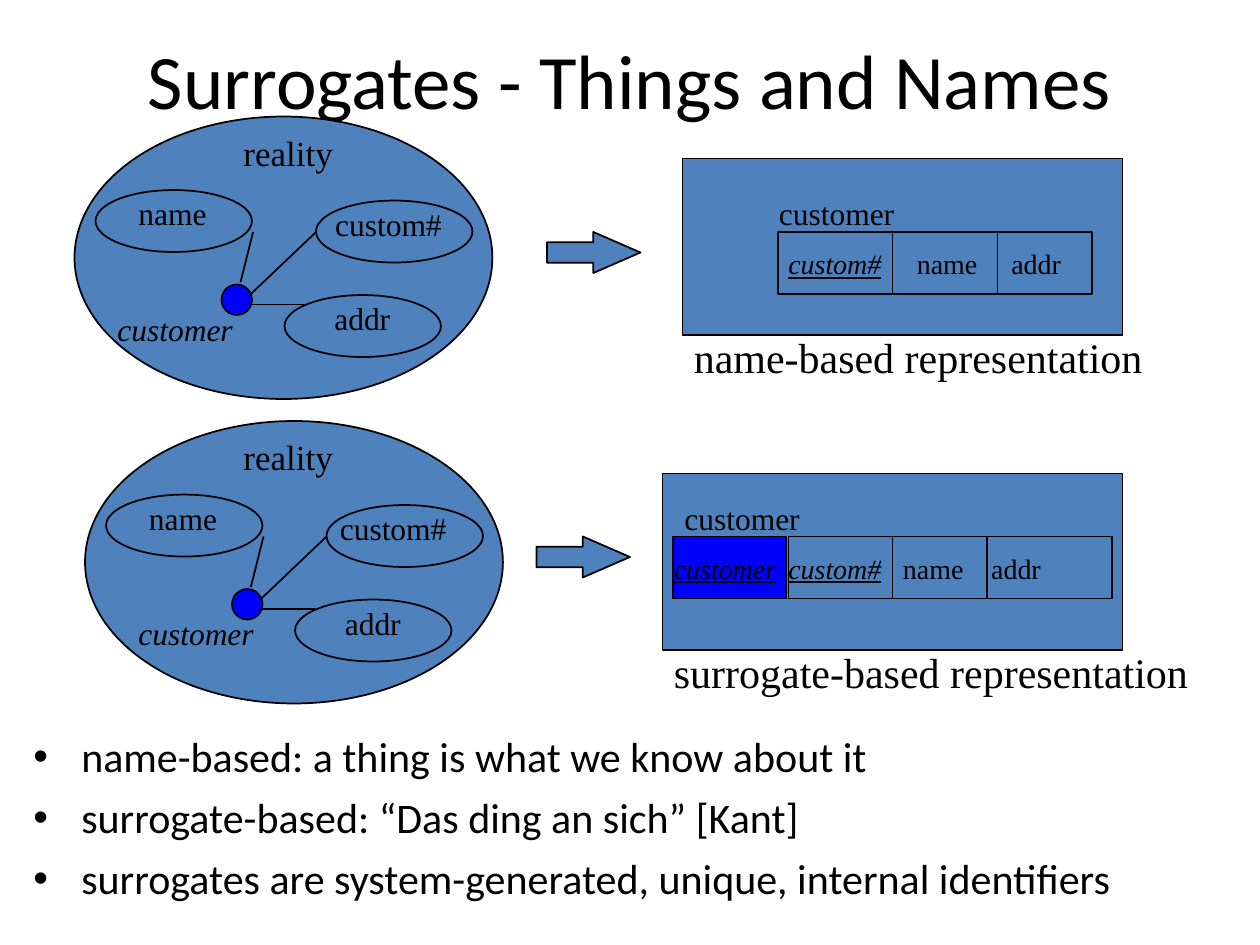
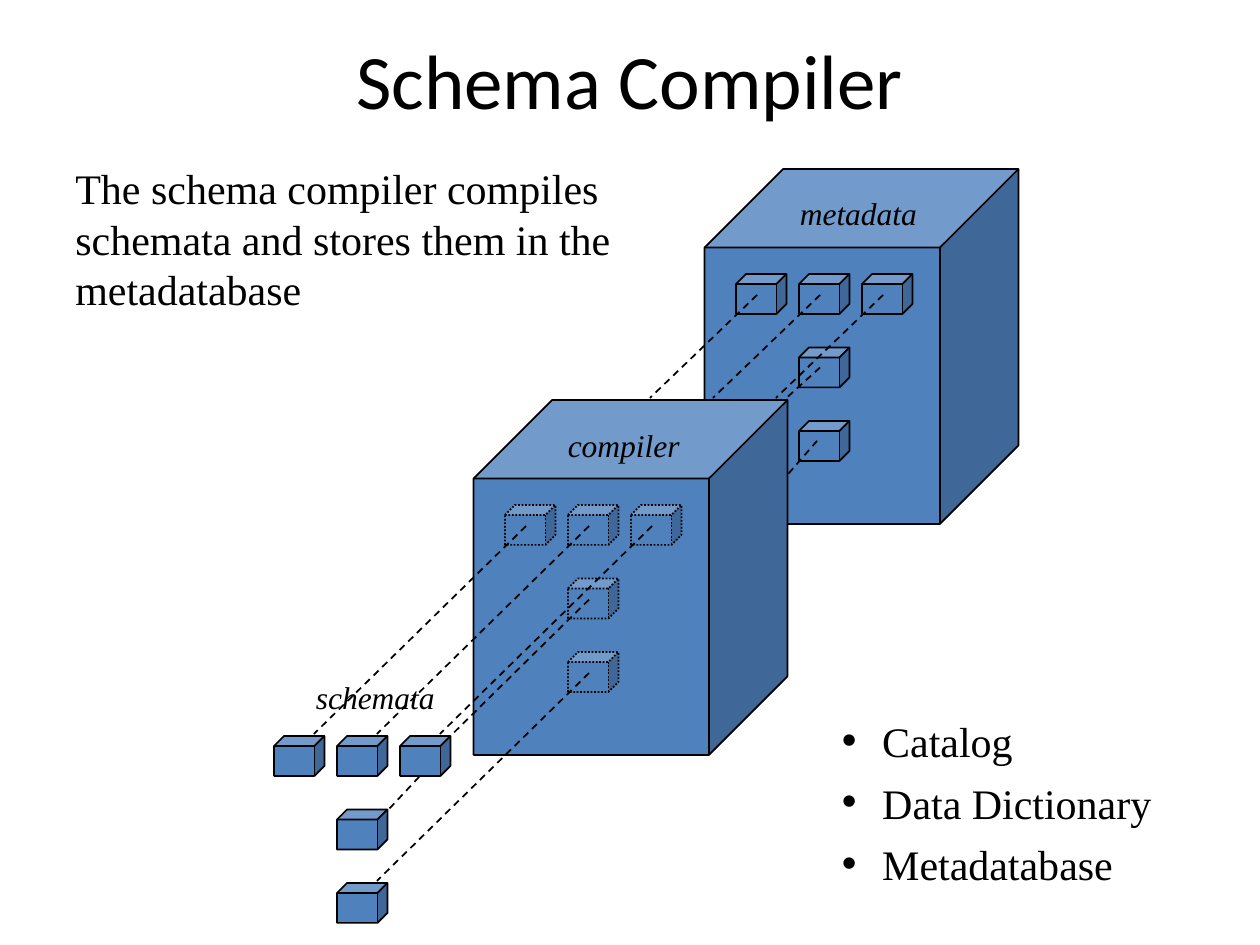
import pptx
import pptx.util
import pptx.dml.color
import pptx.enum.dml
import pptx.enum.shapes
import pptx.enum.text
import pptx.oxml.ns
import lxml.etree

# Shared look
SHAPE = pptx.enum.shapes.MSO_SHAPE
DASH = pptx.enum.dml.MSO_LINE
CENTER = pptx.enum.text.PP_ALIGN.CENTER
MIDDLE = pptx.enum.text.MSO_ANCHOR.MIDDLE
color = pptx.dml.color.RGBColor.from_string
qn = pptx.oxml.ns.qn
BLACK, STEEL, BLUE = "000000", "4F81BD", "0000FF"

TITLE = {"name": "Calibri", "size": pptx.util.Pt(44)}
BODY = {"name": "Calibri", "size": pptx.util.Pt(24)}
STATEMENT = {"name": "Times New Roman", "size": pptx.util.Pt(24)}
HEADING = {**STATEMENT, "size": pptx.util.Pt(20)}
LABEL = {**STATEMENT, "size": pptx.util.Pt(18)}
FIELD = {**STATEMENT, "size": pptx.util.Pt(16)}
ITALIC = {"italic": True}
KEY = {"italic": True, "underline": True}

# The slide is a grid of 120 columns by 90 rows
deck = pptx.Presentation()
deck.slide_width = pptx.util.Inches(10)
deck.slide_height = pptx.util.Inches(7.5)
CELL = deck.slide_width / 120


def draw(page, kind, area, fill=STEEL, dash=None):
    """Draw a shape in (left, top, width, height), or a line (x1, y1, x2, y2)."""
    place = [round(value * CELL) for value in area]
    if kind == "line":
        item = page.shapes.add_connector(pptx.enum.shapes.MSO_CONNECTOR.STRAIGHT, *place)
        lxml.etree.SubElement(item._element.spPr, qn("a:effectLst"))
    else:
        item = page.shapes.add_shape(kind, *place)
        item.shadow.inherit = False
        item.fill.solid()
        item.fill.fore_color.rgb = color(fill)
    item.line.color.rgb = color(BLACK)
    item.line.width = pptx.util.Pt(1)
    if dash:
        item.line.dash_style = dash
    return item


def write(page, area, lines, look, align=None, anchor=None, bullet=0, gap=0, spacing=None, tabs=()):
    """Write lines, each a list of (text, emphasis); bullet is the hanging indent in inches."""
    box = page.shapes.add_textbox(*[round(value * CELL) for value in area])
    frame = box.text_frame
    frame.word_wrap = True
    frame.vertical_anchor = anchor
    for number, line in enumerate(lines):
        para = frame.paragraphs[0] if number == 0 else frame.add_paragraph()
        para.alignment = align
        props = para._p.get_or_add_pPr()
        if bullet:
            indent = pptx.util.Inches(bullet)
            props.set("marL", str(indent))
            props.set("indent", str(-indent))
            lxml.etree.SubElement(props, qn("a:buFont"), typeface="Arial")
            lxml.etree.SubElement(props, qn("a:buChar"), char="•")
        if tabs:
            stops = lxml.etree.SubElement(props, qn("a:tabLst"))
            for stop in tabs:
                lxml.etree.SubElement(stops, qn("a:tab"), pos=str(pptx.util.Inches(stop)), algn="l")
        if spacing:
            para.line_spacing = spacing
        if number:
            para.space_before = pptx.util.Pt(gap)
        for text, emphasis in line:
            span = para.add_run()
            span.text = text
            for attribute, value in {**look, **emphasis}.items():
                setattr(span.font, attribute, value)
            span.font.color.rgb = color(BLACK)


# Pages with their titles
pages = []
for title in ("Surrogates - Things and Names", "Schema Compiler"):
    page = deck.slides.add_slide(deck.slide_layouts[6])
    write(page, (9, 2, 102, 11), [[(title, {})]], TITLE, CENTER, MIDDLE)
    pages.append(page)
surrogates, compiler = pages

# Surrogates: conclusions
conclusions = [
    "name-based: a thing is what we know about it",
    "surrogate-based: “Das ding an sich” [Kant]",
    "surrogates are system-generated, unique, internal identifiers",
]
write(surrogates, (2, 69, 117, 19), [[(text, {})] for text in conclusions], BODY, bullet=0.38, gap=6)

# Surrogates: reality on the left; shift in columns and rows, then label columns
realities = [
    (0, 0, (29.9, 14.2), 10),
    (1, 29, (29.9, 15.1), 12),
]
for right, down, (number_left, number_width), customer_left in realities:
    draw(surrogates, SHAPE.OVAL, (7.1 + right, 11.1 + down, 39.8, 26.9))
    for left, top in ((9.1, 18.1), (30.1, 19.1), (27.1, 28.1)):
        draw(surrogates, SHAPE.OVAL, (left + right, top + down, 14.9, 5.9))
    draw(surrogates, SHAPE.OVAL, (21.1 + right, 27.1 + down, 2.9, 2.9), BLUE)
    for x1, y1, x2, y2 in ((24.1, 22.1, 22.9, 26.9), (30.1, 22.1, 23.9, 28), (29, 29, 23.9, 29)):
        draw(surrogates, "line", (x1 + right, y1 + down, x2 + right, y2 + down))
    labels = [
        ("name", 12 + right, 17.9, 9.15, LABEL, None),
        ("custom#", number_left, 18.9, number_width, LABEL, CENTER),
        ("addr", 28.9 + right, 27.9, 11.2, LABEL, CENTER),
        ("customer", customer_left, 28.9, 16.1, {**LABEL, **ITALIC}, None),
        ("reality", 19.9, 11.9, 15.1, HEADING, CENTER),
    ]
    for text, left, top, width, look, align in labels:
        write(surrogates, (left, top + down, width, 4.8), [[(text, {})]], look, align)

    # Arrow to the representation
    arrow = draw(surrogates, SHAPE.RIGHT_ARROW, (52.1 - right, 22.1 + down, 8.9, 3.9))
    arrow.adjustments[1] = 1.15

# Surrogates: representations on the right
# panel, record, dividers, tab stops, name column, caption
representations = [
    ((65, 15.1, 41.9, 16.8), (74.1, 22.1, 29.9, 5.9), (85, 95), (1.02, 1.77), 73,
     (64.9, 31, 46.1, 6), "name-based representation"),
    ((63.1, 45.1, 43.8, 16.8), (75.1, 51.1, 30.8, 5.9), (85, 94), (0.91, 1.61), 64,
     (63, 61, 52.1, 6), "surrogate-based representation"),
]
for panel, record, dividers, tabs, name_left, caption_area, caption in representations:
    top, height = record[1], record[3]
    draw(surrogates, SHAPE.RECTANGLE, panel)
    draw(surrogates, SHAPE.RECTANGLE, record)
    for column in dividers:
        draw(surrogates, "line", (column, top, column, top + height))
    write(surrogates, (73.9, top + 0.8, 31.1, 4.3),
          [[("custom#", KEY), ("\tname\taddr", {})]], FIELD, tabs=tabs)
    write(surrogates, (name_left, top - 4.2, 17.1, 4.8), [[("customer", {})]], LABEL)
    write(surrogates, caption_area, [[(caption, {})]], STATEMENT)

# Surrogates: the surrogate key
draw(surrogates, SHAPE.RECTANGLE, (64.1, 51.1, 10.8, 5.9), BLUE)
write(surrogates, (63, 51.9, 14.2, 4.3), [[("customer", KEY)]], FIELD)

# Compiler: groups of small cubes, two of them on a large cube
groups = [
    (67.1, 16.1, True, None),
    (23.1, 60.1, False, None),
    (45.1, 38.1, True, DASH.ROUND_DOT),
]
for left, top, has_block, dash in groups:
    if has_block:
        draw(compiler, SHAPE.CUBE, (left, top, 29.9, 33.8))
    for right, down in ((0, 0), (6, 0), (12, 0), (6, 7), (6, 14)):
        draw(compiler, SHAPE.CUBE, (left + 3 + right, top + 10 + down, 4.8, 3.8), dash=dash)

# Compiler: dashed traces from metadata through the compiler to the schemata
traces = [
    (56.1, 64.1, 35.9, 83.9), (56.1, 57.1, 43, 70), (37.1, 77, 40, 73.9),
    (75.1, 45.1, 77.9, 41.9), (78.1, 35, 74.9, 37.9),
]
for shift in (0, 6, 12):
    traces.append((50.1 + shift, 50.1, 29.9 + shift, 69.9))
    traces.append((72.1 + shift, 28.1, 61.9 + shift, 37.9))
for trace in traces:
    draw(compiler, "line", trace, dash=DASH.DASH)

# Compiler: labels and explanation
for text, left, top in (("compiler", 52.9, 40), ("metadata", 75, 17.9), ("schemata", 28.9, 64)):
    write(compiler, (left, top, 15.1, 4.8), [[(text, ITALIC)]], LABEL)
explanation = "The schema compiler compiles schemata and stores them in the metadatabase"
write(compiler, (6, 14.9, 56.2, 15.6), [[(explanation, {})]], STATEMENT)
stores = ["Catalog", "Data Dictionary", "Metadatabase"]
write(compiler, (79, 68.9, 38.2, 16.2), [[(text, {})] for text in stores], STATEMENT,
      bullet=0.32, gap=15, spacing=0.7)

deck.save("out.pptx")
